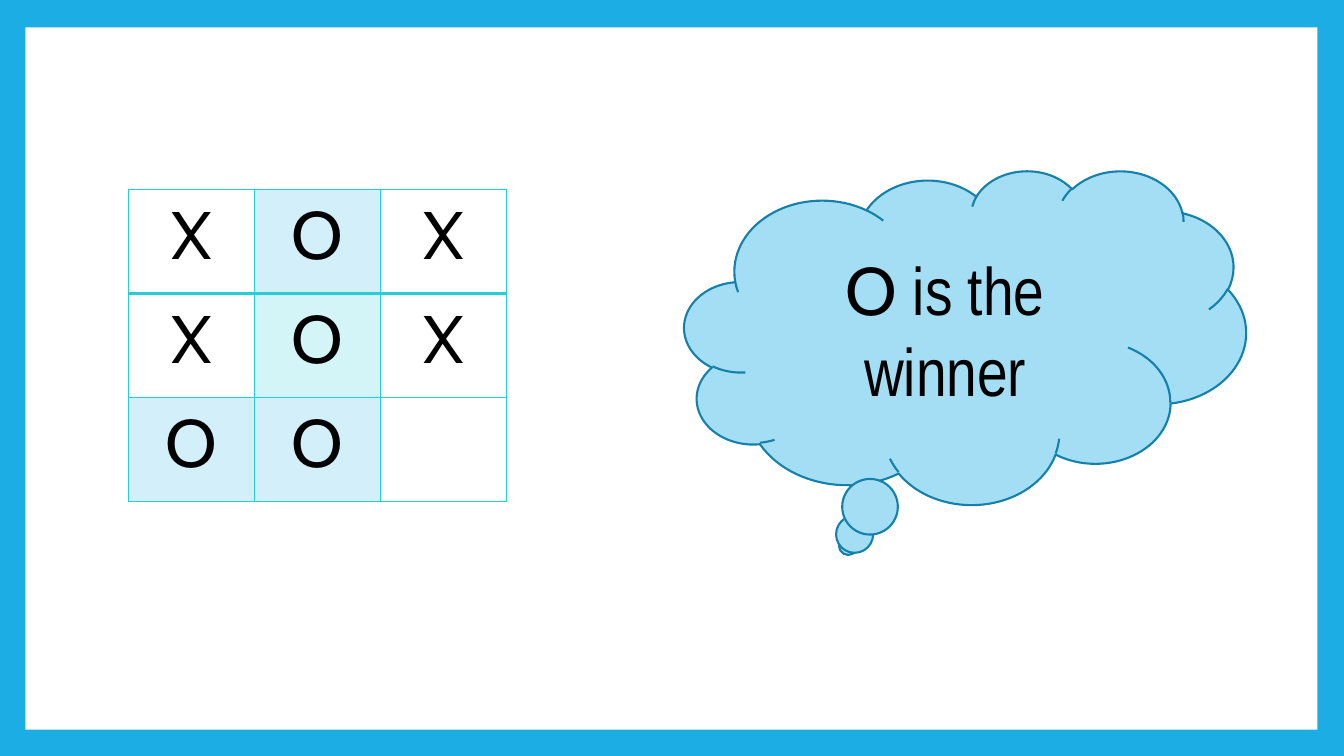
"""Build a slide with a finished game grid and a cloud naming the winner."""
from lxml import etree
from pptx import Presentation
from pptx.dml.color import RGBColor
from pptx.enum.shapes import MSO_SHAPE
from pptx.enum.text import MSO_ANCHOR, PP_ALIGN
from pptx.oxml import parse_xml
from pptx.oxml.ns import qn
from pptx.util import Cm, Pt

RECT, CLOUD = MSO_SHAPE.RECTANGLE, MSO_SHAPE.CLOUD_CALLOUT
MIDDLE, CENTER = MSO_ANCHOR.MIDDLE, PP_ALIGN.CENTER
NS = "http://schemas.openxmlformats.org/drawingml/2006/main"

BLUE, WHITE, BLACK = "1CADE4", "FFFFFF", "000000"
SKY, EDGE, PALE, TEAL = "A4DEF4", "1580A9", "D2EFFA", "27CED7"
SIZE = 48
GAME = ["XOX", "XOX", "OO "]
FILLS = [
    [None, PALE, None],
    [WHITE, TEAL, WHITE],
    [PALE, PALE, None],
]
CLEAR_ROW, ALPHA = 1, 20
SPEECH = [("O", "Cabin"), (" is the winner", "Arial Narrow")]

PANEL_BOX = (0.64, 0.69, 32.56, 17.7)
CLOUD_BOX = (17.25, 4.29, 14.15, 8.41)
GRID_AT = (3.23, 4.78)
CELL_W, CELL_H = 3.18, 2.62


def color(text):
    return RGBColor.from_string(text)


def paint(fill, tone):
    fill.solid()
    fill.fore_color.rgb = color(tone)


def write(para, parts):
    para.alignment = CENTER
    for text, face in parts:
        run = para.add_run()
        run.text = text
        run.font.name = face
        run.font.size = Pt(SIZE)
        run.font.color.rgb = color(BLACK)


def add_box(slide, kind, box, tone, edge=None):
    shape = slide.shapes.add_shape(kind, *map(Cm, box))
    shape.shadow.inherit = False
    paint(shape.fill, tone)
    if edge:
        shape.line.color.rgb = color(edge)
        shape.line.width = Pt(1.5)
    else:
        shape.line.fill.background()
    return shape


def add_edges(props, base):
    for spot, side in enumerate("LRTB"):
        width = Pt(base if side == "B" else 1)
        props.insert(spot, parse_xml(
            f'<a:ln{side} xmlns:a="{NS}" w="{width}"><a:solidFill>'
            f'<a:srgbClr val="{TEAL}"/></a:solidFill></a:ln{side}>'))


def add_game(slide):
    rows, cols = len(GAME), len(GAME[0])
    frame = slide.shapes.add_table(
        rows, cols, *map(Cm, GRID_AT), Cm(cols * CELL_W), Cm(rows * CELL_H))
    table = frame.table
    table.first_row = table.horz_banding = False
    for col in table.columns:
        col.width = Cm(CELL_W)
    for r, marks in enumerate(GAME):
        table.rows[r].height = Cm(CELL_H)
        for c, mark in enumerate(marks):
            cell, tone = table.cell(r, c), FILLS[r][c]
            if mark.strip():
                write(cell.text_frame.paragraphs[0], [(mark, "Cabin")])
            if tone:
                paint(cell.fill, tone)
            else:
                cell.fill.background()
            props = cell._tc.get_or_add_tcPr()
            if r == CLEAR_ROW:
                shade = props.find(".//" + qn("a:srgbClr"))
                etree.SubElement(shade, qn("a:alpha"), val=str(ALPHA * 1000))
            add_edges(props, 2 if r == 0 else 1)


def main():
    deck = Presentation()
    deck.slide_width, deck.slide_height = Cm(33.87), Cm(19.05)
    slide = deck.slides.add_slide(deck.slide_layouts[6])
    paint(slide.background.fill, BLUE)
    add_box(slide, RECT, PANEL_BOX, WHITE)
    cloud = add_box(slide, CLOUD, CLOUD_BOX, SKY, EDGE)
    cloud.text_frame.word_wrap = True
    cloud.text_frame.vertical_anchor = MIDDLE
    write(cloud.text_frame.paragraphs[0], SPEECH)
    add_game(slide)
    deck.save("out.pptx")


if __name__ == "__main__":
    main()
